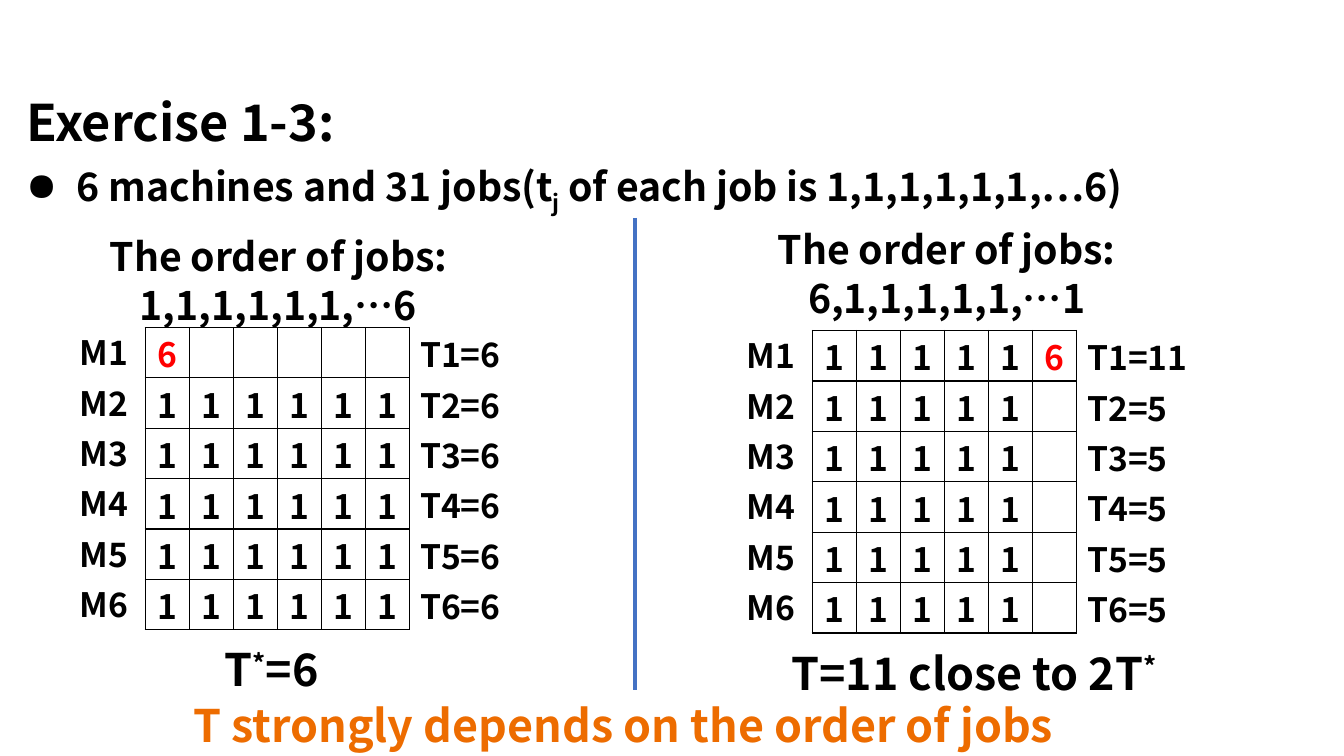
from dataclasses import dataclass

from lxml.etree import SubElement
from pptx import Presentation
from pptx.dml.color import RGBColor
from pptx.enum.shapes import MSO_CONNECTOR
from pptx.enum.text import MSO_ANCHOR, MSO_AUTO_SIZE as AutoSize, PP_ALIGN as Align
from pptx.oxml.ns import qn
from pptx.util import Cm, Pt


@dataclass(frozen=True)
class Theme:
    font: str = "Noto Sans CJK SC"
    ink: str = "000000"
    paper: str = "FFFFFF"
    long_job: str = "FF0000"
    accent: str = "ED6C00"
    divider: str = "4472C4"
    title: int = 36
    body: int = 28
    result: int = 32
    label: int = 24
    line_height: float = 1.25


class SlideBuilder:
    def __init__(self, deck, theme):
        self.theme = theme
        self.slide = deck.slides.add_slide(deck.slide_layouts[5])

    def style(self, para, size, color, align):
        para.alignment = align
        para.line_spacing = Pt(size * self.theme.line_height)
        para.font.name = self.theme.font
        para.font.size = Pt(size)
        para.font.bold = True
        para.font.color.rgb = RGBColor.from_string(color)

    def fill_frame(self, frame, lines, size, color, align=Align.LEFT, wrap=False, bullet=None):
        frame.word_wrap = wrap
        frame.auto_size = AutoSize.SHAPE_TO_FIT_TEXT
        frame.vertical_anchor = MSO_ANCHOR.TOP
        for index, spans in enumerate(lines):
            para = frame.add_paragraph() if index else frame.paragraphs[0]
            if bullet:
                properties = para._p.get_or_add_pPr()
                properties.set("marL", str(Cm(1.27)))
                properties.set("indent", str(-Cm(1.27)))
                SubElement(properties, qn("a:buChar")).set("char", bullet)
            self.style(para, size, color, align)
            for text, baseline in spans:
                span = para.add_run()
                span.text = text
                if baseline:
                    span._r.get_or_add_rPr().set("baseline", str(baseline * 1000))

    def title(self, text, left, top, width, height):
        box = self.slide.shapes.title
        box.left, box.top, box.width, box.height = Cm(left), Cm(top), Cm(width), Cm(height)
        self.fill_frame(box.text_frame, [[(text, 0)]], self.theme.title, self.theme.ink, wrap=True)

    def text(self, lines, left, top, width, height, size, color=None, **options):
        box = self.slide.shapes.add_textbox(Cm(left), Cm(top), Cm(width), Cm(height))
        self.fill_frame(box.text_frame, lines, size, color or self.theme.ink, **options)

    def line(self, x, top, bottom):
        line = self.slide.shapes.add_connector(
            MSO_CONNECTOR.STRAIGHT, Cm(x), Cm(top), Cm(x), Cm(bottom))
        line.line.color.rgb = RGBColor.from_string(self.theme.divider)
        line.line.width = Pt(3)
        SubElement(line._element.spPr, qn("a:effectLst"))

    def border(self, cell):
        properties = cell._tc.get_or_add_tcPr()
        for side in ("lnL", "lnR", "lnT", "lnB"):
            edge = SubElement(properties, qn(f"a:{side}"), w=str(Pt(1)))
            fill = SubElement(edge, qn("a:solidFill"))
            SubElement(fill, qn("a:srgbClr"), val=self.theme.ink)

    def table(self, rows, left, top, cell_width, cell_height):
        count = len(rows[0])
        table = self.slide.shapes.add_table(
            len(rows), count, Cm(left), Cm(top),
            Cm(cell_width * count), Cm(cell_height * len(rows))).table
        table.first_row = table.horz_banding = False
        for column in table.columns:
            column.width = Cm(cell_width)
        for row, values in zip(table.rows, rows):
            row.height = Cm(cell_height)
            for cell, value in zip(row.cells, values):
                self.border(cell)
                cell.fill.solid()
                cell.fill.fore_color.rgb = RGBColor.from_string(self.theme.paper)
                cell.vertical_anchor = MSO_ANCHOR.MIDDLE
                cell.margin_left = cell.margin_right = cell.margin_bottom = 0
                cell.margin_top = Cm(0.2)
                para = cell.text_frame.paragraphs[0]
                color = self.theme.long_job if value == "6" else self.theme.ink
                self.style(para, self.theme.label, color, Align.CENTER)
                if value:
                    para.add_run().text = value

    def schedule(self, rows, totals, left, top):
        pitch = 1.27
        size = self.theme.label
        self.table(rows, left, top, 1.11, pitch)
        for index, total in enumerate(totals):
            y = top + index * pitch
            number = index + 1
            width = 2.74 if total < 10 else 3.28
            self.text([[(f"M{number}", 0)]], left - 1.9, y - 0.05, 1.9, pitch, size)
            self.text([[(f"T{number}={total}", 0)]], left + 6.68, y, width, pitch, size)

    def heading(self, order, left, top):
        self.text([[("The order of jobs:", 0)], [(order, 0)]], left, top, 9.45, 2.64,
                  self.theme.body, align=Align.CENTER)


def main():
    theme = Theme()
    deck = Presentation()
    deck.slide_width, deck.slide_height = Cm(33.87), Cm(19.05)
    page = SlideBuilder(deck, theme)

    page.title("Exercise 1-3:", 0.41, 2.11, 27.58, 1.8)
    page.text([[("6 machines and 31 jobs(t", 0), ("j", -25),
                (" of each job is 1,1,1,1,1,1,…6)", 0)]],
              0.41, 4.09, 28.85, 1.45, theme.body, wrap=True, bullet="●")
    page.line(16, 5.49, 17.4)

    page.heading("1,1,1,1,1,1,…6", 2.29, 5.69)
    page.schedule([["6"] + [""] * 5] + [["1"] * 6] * 5, [6] * 6, 3.66, 8.25)
    page.text([[("T", 0), ("*", 30), ("=6", 0)]], 5.41, 16, 3.18, 1.63, theme.result)

    page.heading("6,1,1,1,1,1,…1", 19.13, 5.51)
    page.schedule([["1"] * 5 + ["6"]] + [["1"] * 5 + [""]] * 5, [11] + [5] * 5, 20.47, 8.33)
    page.text([[("T=11 close to 2T", 0), ("*", 30)]], 19.69, 16.08, 10.74, 1.63, theme.result)

    page.text([[("T strongly depends on the order of jobs", 0)]],
              4.62, 17.4, 23.34, 1.63, theme.result, theme.accent)
    deck.save("out.pptx")


if __name__ == "__main__":
    main()
